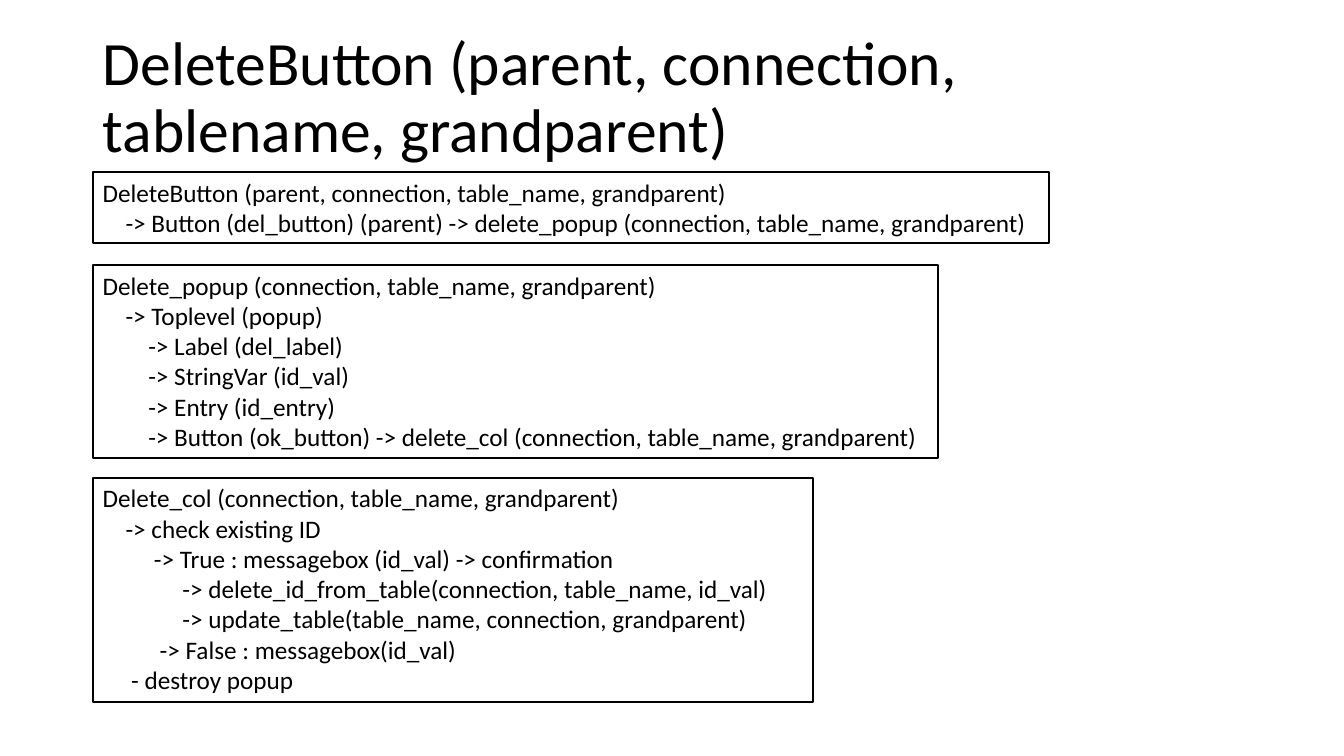
from pptx import Presentation
from pptx.dml.color import RGBColor
from pptx.enum.shapes import MSO_SHAPE as Shape
from pptx.enum.text import MSO_ANCHOR as Anchor, PP_ALIGN as Align
from pptx.util import Cm, Pt

COLORS = {"ink": "000000"}
FONT = "Calibri"
INK = RGBColor.from_string(COLORS["ink"])
LEFT = Cm(2.34)
LINE_HEIGHT = 0.77
PADDING = 0.25
INDENT_STEP = 0.1435  # cm, one character of indentation at 18 pt

# top and width in cm, then (indent in characters, text) for each line
CALLS = [
    (4.34, 24.1, [
        (0, "DeleteButton (parent, connection, table_name, grandparent)"),
        (4, "-> Button (del_button) (parent) -> delete_popup (connection, table_name, grandparent)"),
    ]),
    (6.68, 21.31, [
        (0, "Delete_popup (connection, table_name, grandparent)"),
        (4, "-> Toplevel (popup)"),
        (8, "-> Label (del_label)"),
        (8, "-> StringVar (id_val)"),
        (8, "-> Entry (id_entry)"),
        (8, "-> Button (ok_button) -> delete_col (connection, table_name, grandparent)"),
    ]),
    (12.04, 18.16, [
        (0, "Delete_col (connection, table_name, grandparent)"),
        (4, "-> check existing ID"),
        (9, "-> True : messagebox (id_val) -> confirmation"),
        (14, "-> delete_id_from_table(connection, table_name, id_val)"),
        (14, "-> update_table(table_name, connection, grandparent)"),
        (10, "-> False : messagebox(id_val)"),
        (5, "- destroy popup"),
    ]),
]


def style(paragraph, size):
    paragraph.alignment = Align.LEFT
    for run in paragraph.runs:
        run.font.name = FONT
        run.font.size = Pt(size)
        run.font.color.rgb = INK


prs = Presentation()
prs.slide_width, prs.slide_height = Cm(33.87), Cm(19.05)
slide = prs.slides.add_slide(prs.slide_layouts[6])

heading = slide.shapes.add_textbox(LEFT, Cm(0.66), Cm(29.21), Cm(3.68)).text_frame
heading.word_wrap = True
heading.vertical_anchor = Anchor.MIDDLE
heading.text = "DeleteButton (parent, connection, tablename, grandparent)"
heading.paragraphs[0].line_spacing = 0.9
style(heading.paragraphs[0], 44)

for top, width, lines in CALLS:
    height = PADDING + LINE_HEIGHT * len(lines)
    call = slide.shapes.add_shape(Shape.RECTANGLE, LEFT, Cm(top), Cm(width), Cm(height))
    call.shadow.inherit = False
    call.fill.background()
    call.line.color.rgb = INK
    call.line.width = Pt(1.5)

    steps = call.text_frame
    steps.word_wrap = False
    steps.vertical_anchor = Anchor.TOP
    steps.text = "\n".join(text for _, text in lines)
    for paragraph, (indent, _) in zip(steps.paragraphs, lines):
        style(paragraph, 18)
        properties = paragraph._p.get_or_add_pPr()
        properties.set("marL", str(Cm(indent * INDENT_STEP)))
        properties.set("indent", "0")

prs.save("out.pptx")
